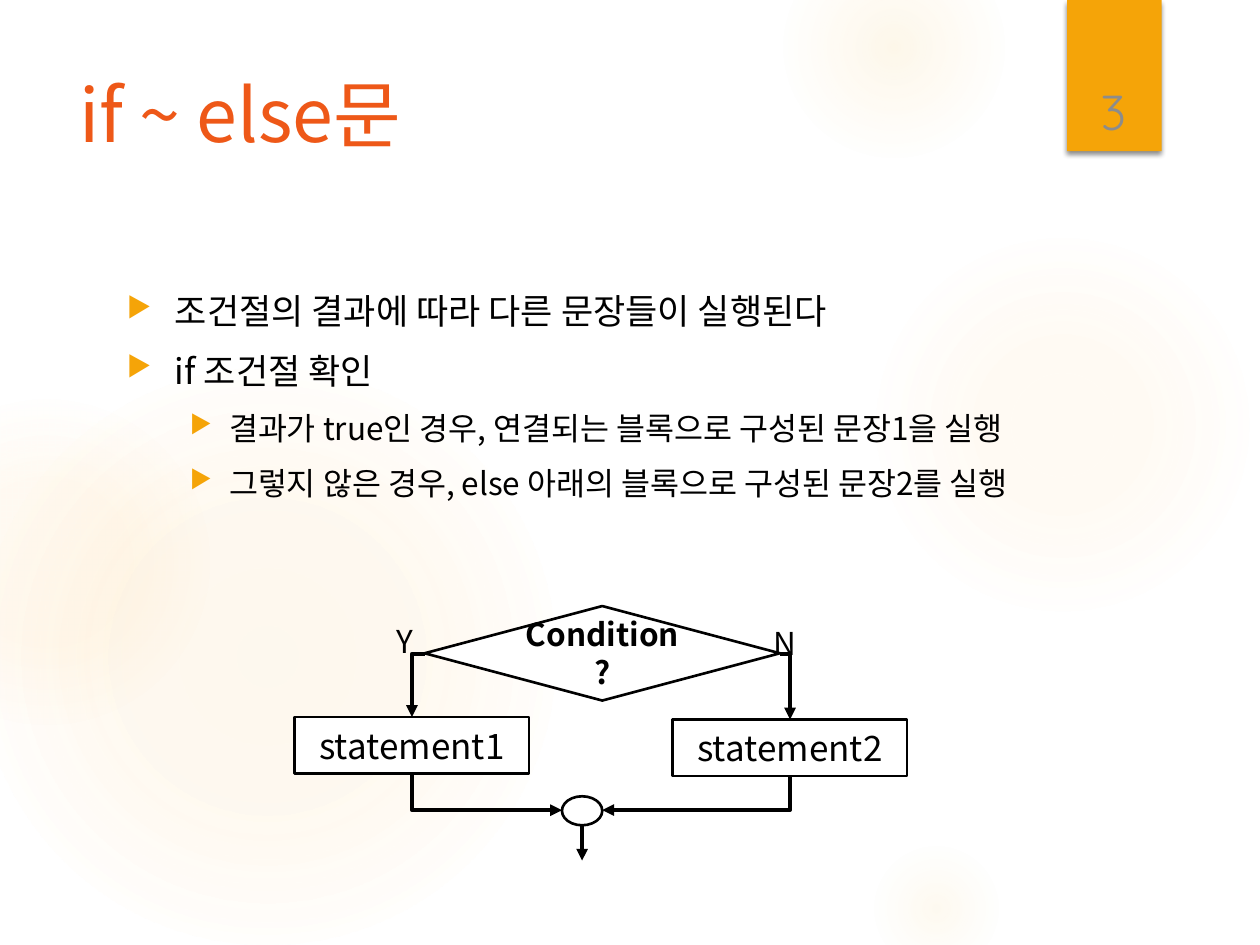
from lxml import etree
from pptx import Presentation
from pptx.dml.color import RGBColor
from pptx.enum.shapes import MSO_CONNECTOR as CONN, MSO_SHAPE as SHAPE
from pptx.enum.text import MSO_ANCHOR as ANCHOR, PP_ALIGN as ALIGN
from pptx.oxml import parse_xml
from pptx.oxml.ns import nsdecls, qn
from pptx.util import Inches, Pt

SANS = "Noto Sans CJK KR"
BLACK, WHITE, AMBER, ORANGE, GRAY = "000000", "FFFFFF", "F5A408", "EE5818", "8C8C8C"
GLOW = "FAC96A"


def rgb(value):
    return RGBColor.from_string(value)


def sub(parent, tag, **attrs):
    return etree.SubElement(parent, qn(tag), {k: str(v) for k, v in attrs.items()})


class SlideBuilder:
    def __init__(self, slide):
        self.s = slide
        self.style = {"size": Pt(18), "name": SANS, "bold": False}

    def add_text(self, p, text, color=BLACK, **fmt):
        r = p.add_run()
        r.text = text
        for key, value in {**self.style, **fmt}.items():
            setattr(r.font, key, value)
        r.font.color.rgb = rgb(color)
        sub(r.font._element, "a:ea", typeface=r.font.name)

    def shape(self, kind, box, fill=WHITE, line=BLACK, text="", **fmt):
        sp = self.s.shapes.add_shape(kind, *map(Inches, box))
        sp.shadow.inherit = False
        sp.fill.solid()
        sp.fill.fore_color.rgb = rgb(fill)
        if line:
            sp.line.color.rgb = rgb(line)
            sp.line.width = Pt(1.5)
        else:
            sp.line.fill.background()
        if text:
            tf = sp.text_frame
            tf.word_wrap = True
            tf.vertical_anchor = ANCHOR.MIDDLE
            p = tf.paragraphs[0]
            p.alignment = ALIGN.CENTER
            self.add_text(p, text, **fmt)
        return sp

    def glow(self, left, top, size, stops):
        sp = self.shape(SHAPE.OVAL, (left, top, size, size), line=None)
        marks = "".join(
            f'<a:gs pos="{pos * 1000}"><a:srgbClr val="{GLOW}">'
            f'<a:alpha val="{alpha * 1000}"/></a:srgbClr></a:gs>' for pos, alpha in stops)
        solid = sp._element.spPr.find(qn("a:solidFill"))
        solid.getparent().replace(solid, parse_xml(
            f'<a:gradFill {nsdecls("a")} rotWithShape="1"><a:gsLst>{marks}</a:gsLst>'
            '<a:path path="circle"><a:fillToRect l="50000" t="50000" r="50000" b="50000"/>'
            '</a:path></a:gradFill>'))

    def shadow(self, sp):
        effects = sp._element.spPr.find(qn("a:effectLst"))
        outer = sub(effects, "a:outerShdw", blurRad=Pt(3), dist=Pt(2), dir=90 * 60000,
                    algn="t", rotWithShape=0)
        sub(sub(outer, "a:srgbClr", val=BLACK), "a:alpha", val=45000)

    def text(self, box, text="", wrap=True, anchor=ANCHOR.TOP, align=ALIGN.LEFT, **fmt):
        tf = self.s.shapes.add_textbox(*map(Inches, box)).text_frame
        tf.word_wrap = wrap
        tf.vertical_anchor = anchor
        p = tf.paragraphs[0]
        p.alignment = align
        if text:
            self.add_text(p, text, **fmt)
        return tf

    def bullets(self, box, items):
        tf = self.text(box)
        for i, (level, text) in enumerate(items):
            p = tf.add_paragraph() if i else tf.paragraphs[0]
            p.level = level
            if i:
                p.space_before = Pt(10)
            margin, indent = ((0.38, -0.38), (0.81, -0.31))[level]
            pPr = p._p.get_or_add_pPr()
            pPr.set("marL", str(Inches(margin)))
            pPr.set("indent", str(Inches(indent)))
            sub(sub(pPr, "a:buClr"), "a:srgbClr", val=AMBER)
            sub(pPr, "a:buSzPct", val=80000)
            sub(pPr, "a:buChar", char="▶")
            self.add_text(p, text, size=Pt(18 if level else 20))

    def arrow(self, start, end, bent=True, tip="a:tailEnd"):
        """A bent arrow runs across first, then up or down."""
        kind = CONN.ELBOW if bent else CONN.STRAIGHT
        c = self.s.shapes.add_connector(kind, *map(Inches, start + end))
        c.line.color.rgb = rgb(BLACK)
        c.line.width = Pt(2.25)
        spPr = c._element.spPr
        if bent:
            spPr.find(qn("a:prstGeom")).set("prst", "bentConnector2")
        sub(spPr.find(qn("a:ln")), tip, type="triangle")
        sub(spPr, "a:effectLst")


def main():
    prs = Presentation()
    prs.slide_width, prs.slide_height = Inches(10), Inches(7.5)
    b = SlideBuilder(prs.slides.add_slide(prs.slide_layouts[6]))

    # Background glows and page tab
    for left, top, size, stops in (
            (6.89, 1.83, 3.08, ((0, 7), (36, 6), (69, 0))),
            (6.22, -0.5, 1.75, ((0, 14), (36, 7), (73, 0))),
            (6.89, 6.67, 1.08, ((0, 10), (31, 5), (66, 0))),
            (-0.17, 2.92, 4.58, ((0, 11), (36, 10), (75, 0))),
            (-0.92, 3.17, 2.58, ((0, 8), (36, 8), (72, 0)))):
        b.glow(left, top, size, stops)
    b.shadow(b.shape(SHAPE.RECTANGLE, (8.47, 0, 0.75, 1.2), AMBER, None))

    # Title and explanation
    b.text((0.53, 0.5, 7.72, 1.53), "if ~ else문", size=Pt(42), color=ORANGE)
    b.bullets((0.91, 2.25, 7.34, 4.59), (
        (0, "조건절의 결과에 따라 다른 문장들이 실행된다"),
        (0, "if 조건절 확인"),
        (1, "결과가 true인 경우, 연결되는 블록으로 구성된 문장1을 실행"),
        (1, "그렇지 않은 경우, else 아래의 블록으로 구성된 문장2를 실행")))

    # Flowchart: condition, two statements, join
    yes_x, no_x, join_x = 3.27, 6.27, 4.62
    cond_y, join_y = 5.19, 6.43
    b.shape(SHAPE.FLOWCHART_DECISION, (3.37, 4.81, 2.82, 0.75), text="Condition?", bold=True)
    b.shape(SHAPE.FLOWCHART_CONNECTOR, (4.46, 6.32, 0.32, 0.23))
    for text, x, top, cond_x, join_side, label, label_box in (
            ("statement1", yes_x, 5.69, 3.37, 4.46, "Y", (3.05, 4.89, 0.35, 0.29)),
            ("statement2", no_x, 5.71, 6.19, 4.78, "N", (6.04, 4.9, 0.4, 0.29))):
        b.shape(SHAPE.RECTANGLE, (x - 0.93, top, 1.86, 0.45), text=text, size=Pt(20))
        b.arrow((cond_x, cond_y), (x, top))
        b.arrow((join_side, join_y), (x, top + 0.45), tip="a:headEnd")
        b.text(label_box, label, wrap=False)
    b.arrow((join_x, 6.55), (join_x, 6.83), bent=False)

    # Page number
    b.text((8.49, 0.32, 0.69, 0.84), "3", anchor=ANCHOR.BOTTOM, align=ALIGN.CENTER,
           size=Pt(28), name="Quicksand", color=GRAY)
    prs.save("out.pptx")


if __name__ == "__main__":
    main()
